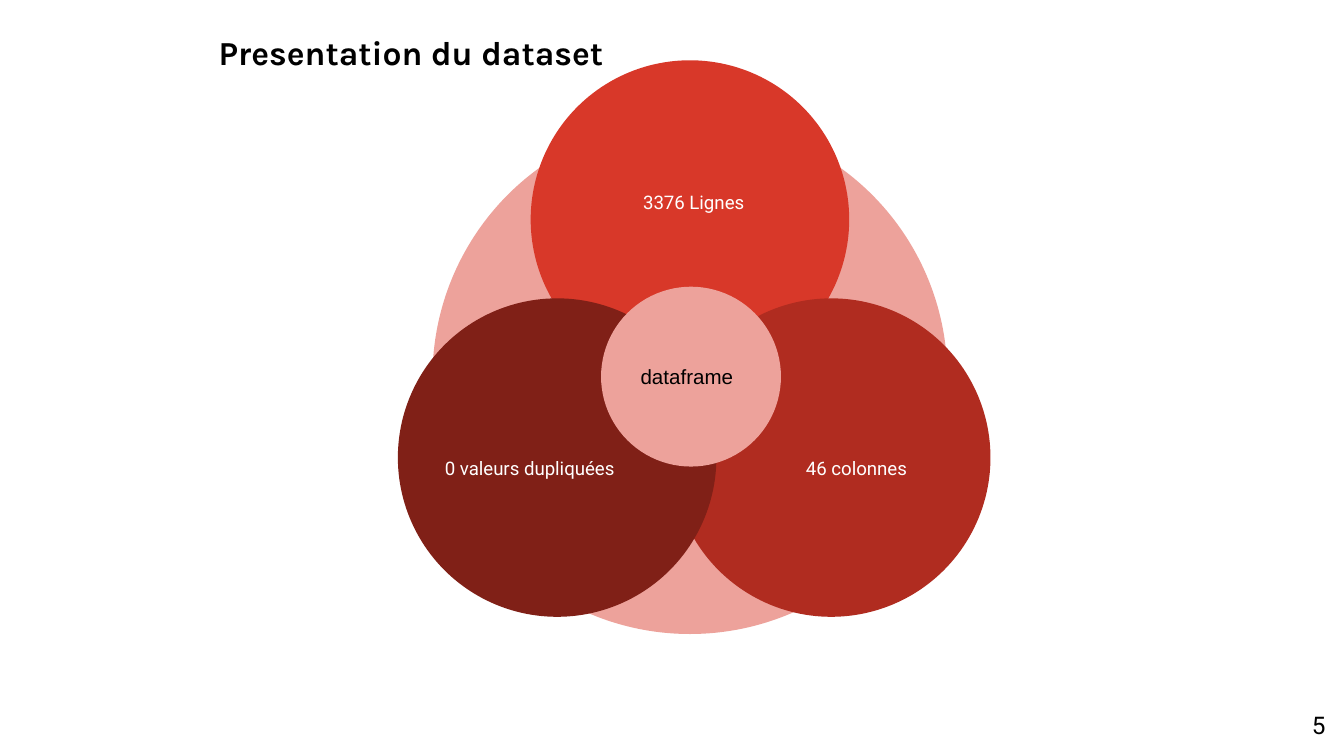
from pptx import Presentation
from pptx.dml.color import RGBColor
from pptx.enum import shapes, text
from pptx import util as u

HUES = {"black": "000000", "white": "FFFFFF", "pink": "EDA29B",
        "red": "D83829", "brick": "B02C20", "wine": "802017"}

# Places are centres, in cm
TITLE = ("Presentation du dataset", 7.77, 1.03, 22.86, 1.35)
PAGE = ("5", 24.54, 13.73, 1.52, 1.09)
BACK = (13.04, 7.12, 9.73)
CORE = ("dataframe", 13.06, 7.12, 3.4)
# label, hue, disc centre, label centre
DISCS = [
    ("3376 Lignes", "red", (13.04, 4.15), (13.11, 3.82)),
    ("46 colonnes ", "brick", (15.71, 8.65), (16.23, 8.85)),
    ("0 valeurs dupliquées", "wine", (10.53, 8.65), (10.01, 8.85)),
]
DISC = 6.02
LABEL = (4.17, 1.96)


def color(name):
    return RGBColor.from_string(HUES[name])


def frame(x, y, w, h):
    return [u.Cm(v) for v in (x - w / 2, y - h / 2, w, h)]


def write(shape, words, size, font, hue, align, anchor, bold=False):
    tf = shape.text_frame
    tf.text = words
    tf.word_wrap = True
    tf.vertical_anchor = anchor
    tf.margin_left = tf.margin_right = u.Cm(0.25)
    tf.margin_top = tf.margin_bottom = u.Cm(0.25)
    para = tf.paragraphs[0]
    para.alignment = align
    run = para.runs[0].font
    run.size, run.name, run.bold = u.Pt(size), font, bold
    run.color.rgb = color(hue)


def circle(home, x, y, size, hue):
    disc = home.add_shape(shapes.MSO_SHAPE.OVAL, *frame(x, y, size, size))
    disc.shadow.inherit = False
    disc.fill.solid()
    disc.fill.fore_color.rgb = color(hue)
    disc.line.fill.background()
    return disc


deck = Presentation()
deck.slide_width, deck.slide_height = u.Cm(25.4), u.Cm(14.29)
slide = deck.slides.add_slide(deck.slide_layouts[6])
tree = slide.shapes
Align, Anchor = text.PP_ALIGN, text.MSO_ANCHOR

# Title
write(tree.add_textbox(*frame(*TITLE[1:])), TITLE[0], 18, "Karla", "black",
      Align.CENTER, Anchor.TOP, bold=True)

# Large disc behind, then the three labelled discs
circle(tree, *BACK, "pink")
for words, hue, spot, mid in DISCS:
    group = tree.add_group_shape().shapes
    circle(group, *spot, DISC, hue)
    write(group.add_textbox(*frame(*mid, *LABEL)), words, 10, "Roboto",
          "white", Align.CENTER, Anchor.MIDDLE)

# Core disc
write(circle(tree, *CORE[1:], "pink"), CORE[0], 11, "Arial", "black",
      Align.LEFT, Anchor.MIDDLE)

# Page number
write(tree.add_textbox(*frame(*PAGE[1:])), PAGE[0], 13, "Roboto", "black",
      Align.RIGHT, Anchor.TOP)

deck.save("out.pptx")
